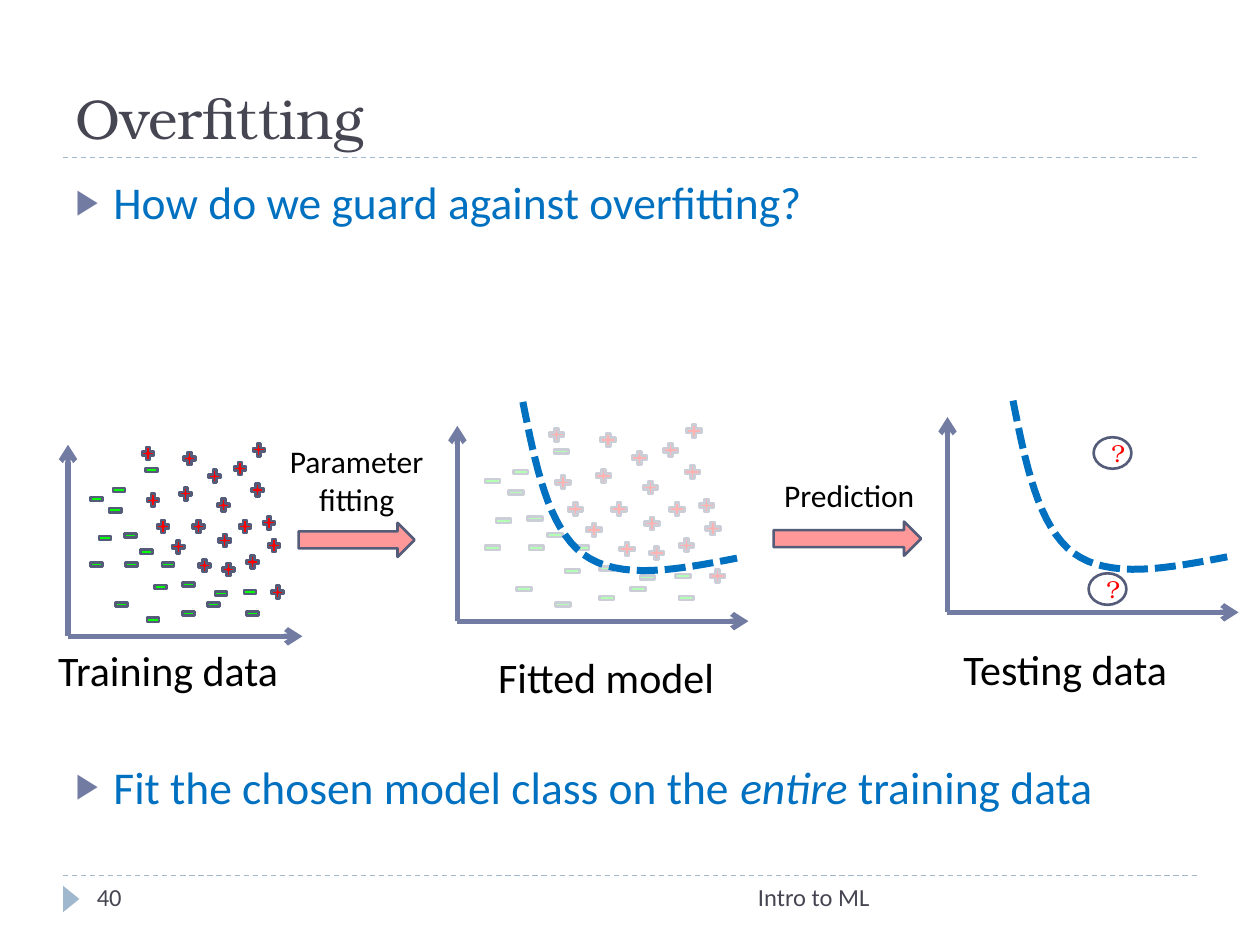
"""Build the overfitting slide: training data, fitted model and testing data."""
import lxml.etree
import pptx
import pptx.dml.color
import pptx.enum.dml
import pptx.enum.shapes
import pptx.enum.text
import pptx.oxml.ns
import pptx.util
from dataclasses import dataclass

Inches, Pt = pptx.util.Inches, pptx.util.Pt
RGB = pptx.dml.color.RGBColor.from_string
Kind = pptx.enum.shapes.MSO_SHAPE
Dash = pptx.enum.dml.MSO_LINE
Align = pptx.enum.text.PP_ALIGN
Anchor = pptx.enum.text.MSO_ANCHOR
qn = pptx.oxml.ns.qn
add = lxml.etree.SubElement


@dataclass
class Theme:
    ink: str = "464653"
    text: str = "000000"
    blue: str = "0070C0"
    axis: str = "727CA3"
    edge: str = "545C79"
    rule: str = "9FB8CD"
    plus: str = "FF0000"
    minus: str = "00FF00"
    white: str = "FFFFFF"
    serif: str = "TeX Gyre Bonum"
    sans: str = "Calibri"
    title: int = 32
    body: int = 26
    label: int = 24
    step: int = 18
    small: int = 14


theme = Theme()
deck = pptx.Presentation()
deck.slide_width, deck.slide_height = Inches(10), Inches(7.5)
slide = deck.slides.add_slide(deck.slide_layouts[1])
shapes = slide.shapes


def style(para, size, color, face=theme.sans, align=Align.LEFT):
    para.alignment = align
    para.font.size, para.font.name = Pt(size), face
    para.font.color.rgb = RGB(color)


def draw(kind, box, fill=None, edge=theme.edge, alpha=100):
    shape = shapes.add_shape(kind, *map(Inches, box))
    shape.shadow.inherit = False
    if fill:
        shape.fill.solid()
        shape.fill.fore_color.rgb = RGB(fill)
        if alpha < 100:
            color = shape.element.spPr.find(qn("a:solidFill")).find(qn("a:srgbClr"))
            add(color, qn("a:alpha"), val=str(alpha * 1000))
    else:
        shape.fill.background()
    if edge:
        shape.line.color.rgb, shape.line.width = RGB(edge), Pt(1.5)
    else:
        shape.line.fill.background()
    return shape


title = shapes.title
title.left, title.top, title.width, title.height = map(Inches, (0.5, 0.17, 9, 1.08))
title.text_frame.text = "Overfitting"
title.text_frame.vertical_anchor = Anchor.BOTTOM
style(title.text_frame.paragraphs[0], theme.title, theme.ink, theme.serif)

body = slide.placeholders[1]
body.left, body.top, body.width, body.height = map(Inches, (0.5, 1.33, 9, 5.4))
frame = body.text_frame
frame.auto_size = pptx.enum.text.MSO_AUTO_SIZE.NONE
first, last = frame.paragraphs[0], frame.add_paragraph()
first.text = "How do we guard against overfitting?"
for part in ("Fit the chosen model class on the ", "entire ", "training data"):
    run = last.add_run()
    run.text = part
    if part == "entire ":
        run.font.italic = True
for para, gap in ((first, 0), (last, 303)):
    props = para._p.get_or_add_pPr()
    props.set("marL", str(Inches(0.3)))
    props.set("indent", str(Inches(-0.3)))
    add(add(props, qn("a:buClr")), qn("a:srgbClr"), val=theme.axis)
    add(props, qn("a:buSzPct"), val="76000")
    add(props, qn("a:buChar"), char="▶")
    para.space_before = Pt(gap)
    style(para, theme.body, theme.blue)

lines = [((0.5, y), (9.5, y), False) for y in (1.25, 6.95)]
for x, y, wide, high in ((0.54, 5.05, 1.86, 1.52), (3.63, 4.93, 2.31, 1.55), (7.52, 4.86, 2.31, 1.55)):
    lines += [((x, y), (x + wide, y), True), ((x, y), (x, y - high), True)]
for start, end, axis in lines:
    line = shapes.add_connector(pptx.enum.shapes.MSO_CONNECTOR.STRAIGHT, *map(Inches, start + end))
    line.line.color.rgb = RGB(theme.axis if axis else theme.rule)
    line.line.width = Pt(3 if axis else 0.75)
    if axis:
        add(line.line._get_or_add_ln(), qn("a:tailEnd"), type="arrow")
    else:
        line.line.dash_style = Dash.DASH
    add(line._element.spPr, qn("a:effectLst"))

draw(Kind.ISOSCELES_TRIANGLE, (0.46, 7.07, 0.21, 0.13), theme.rule, None).rotation = 90

plus = [
    (1.64, 3.71), (1.23, 4.11), (1.94, 4.39), (2.11, 4.26), (1.15, 3.9), (1.11, 3.53),
    (1.41, 3.85), (1.44, 3.57), (1.71, 3.94), (1.98, 3.82), (1.99, 3.5), (1.35, 4.27),
    (2.14, 4.63), (1.72, 4.22), (1.75, 4.45), (1.56, 4.42), (1.51, 4.11), (1.88, 4.11),
    (2.07, 4.08), (1.84, 3.65),
]
minus = [
    (0.98, 4.41), (1.1, 4.31), (1.43, 4.57), (1.63, 4.73), (0.97, 4.18), (0.7, 3.89),
    (0.7, 4.41), (0.9, 4.73), (1.21, 4.59), (0.77, 4.2), (1.14, 3.66), (1.27, 4.41),
    (1.92, 4.63), (1.69, 4.64), (0.85, 3.98), (0.88, 3.82), (1.43, 4.8), (1.15, 4.85),
    (1.94, 4.8),
]
for left, top, wide, high, size in ((0.7, 3.5, 1, 1, 0.13), (3.83, 3.35, 1.24, 1.02, 0.16)):
    for kind, spots, fill in ((Kind.MATH_PLUS, plus, theme.plus), (Kind.MATH_MINUS, minus, theme.minus)):
        for x, y in spots:
            draw(kind, (left + (x - 0.7) * wide, top + (y - 3.5) * high, size, 0.14), fill)
draw(Kind.RECTANGLE, (3.83, 3.28, 1.99, 1.55), theme.white, None, 70)

for box in ((2.37, 4.15, 0.92, 0.27), (6.14, 4.14, 1.17, 0.27)):
    draw(Kind.RIGHT_ARROW, box, theme.plus, alpha=40)

for x, y in ((8.68, 3.47), (8.64, 4.55)):
    query = draw(Kind.OVAL, (x, y, 0.3, 0.25)).text_frame
    query.text = "?"
    query.vertical_anchor = Anchor.MIDDLE
    style(query.paragraphs[0], theme.small, theme.plus, theme.serif, Align.CENTER)

labels = [
    ("Training data", (0.25, 5.07, 2.17, 0.5), theme.label, theme.text, Align.CENTER),
    ("Fitted model", (3.47, 5.12, 2.68, 0.5), theme.label, theme.text, Align.CENTER),
    ("Testing data", (7.37, 5.06, 2.17, 0.5), theme.label, theme.text, Align.CENTER),
    ("Parameter fitting", (2.12, 3.46, 1.42, 0.71), theme.step, theme.text, Align.CENTER),
    ("Prediction", (6.03, 3.73, 1.42, 0.4), theme.step, theme.text, Align.CENTER),
    ("Intro to ML", (3.17, 6.95, 3.83, 0.4), theme.small, theme.ink, Align.RIGHT),
    ("40", (0.67, 6.95, 2.17, 0.4), theme.small, theme.ink, Align.LEFT),
]
for text, box, size, color, align in labels:
    frame = shapes.add_textbox(*map(Inches, box)).text_frame
    frame.word_wrap = True
    frame.text = text
    style(frame.paragraphs[0], size, color, align=align)

bends = [
    ((4.15, 3.19), (4.25, 3.69), (4.35, 4.19), (4.63, 4.4)),
    ((4.63, 4.4), (4.92, 4.61), (5.38, 4.52), (5.85, 4.43)),
]
steps = 16
curve = [bends[0][0]]
for bend in bends:
    for i in range(1, steps + 1):
        t = i / steps
        parts = ((1 - t) ** 3, 3 * t * (1 - t) ** 2, 3 * t ** 2 * (1 - t), t ** 3)
        curve.append(tuple(sum(w * p[k] for w, p in zip(parts, bend)) for k in (0, 1)))
for dx, dy in ((0, 0), (3.89, -0.01)):
    spots = [(Inches(x + dx), Inches(y + dy)) for x, y in curve]
    form = shapes.build_freeform(*spots[0])
    form.add_line_segments(spots[1:], close=False)
    bound = form.convert_to_shape()
    bound.shadow.inherit = False
    bound.fill.background()
    bound.line.color.rgb, bound.line.width = RGB(theme.blue), Pt(4)
    bound.line.dash_style = Dash.SQUARE_DOT

deck.save("out.pptx")
